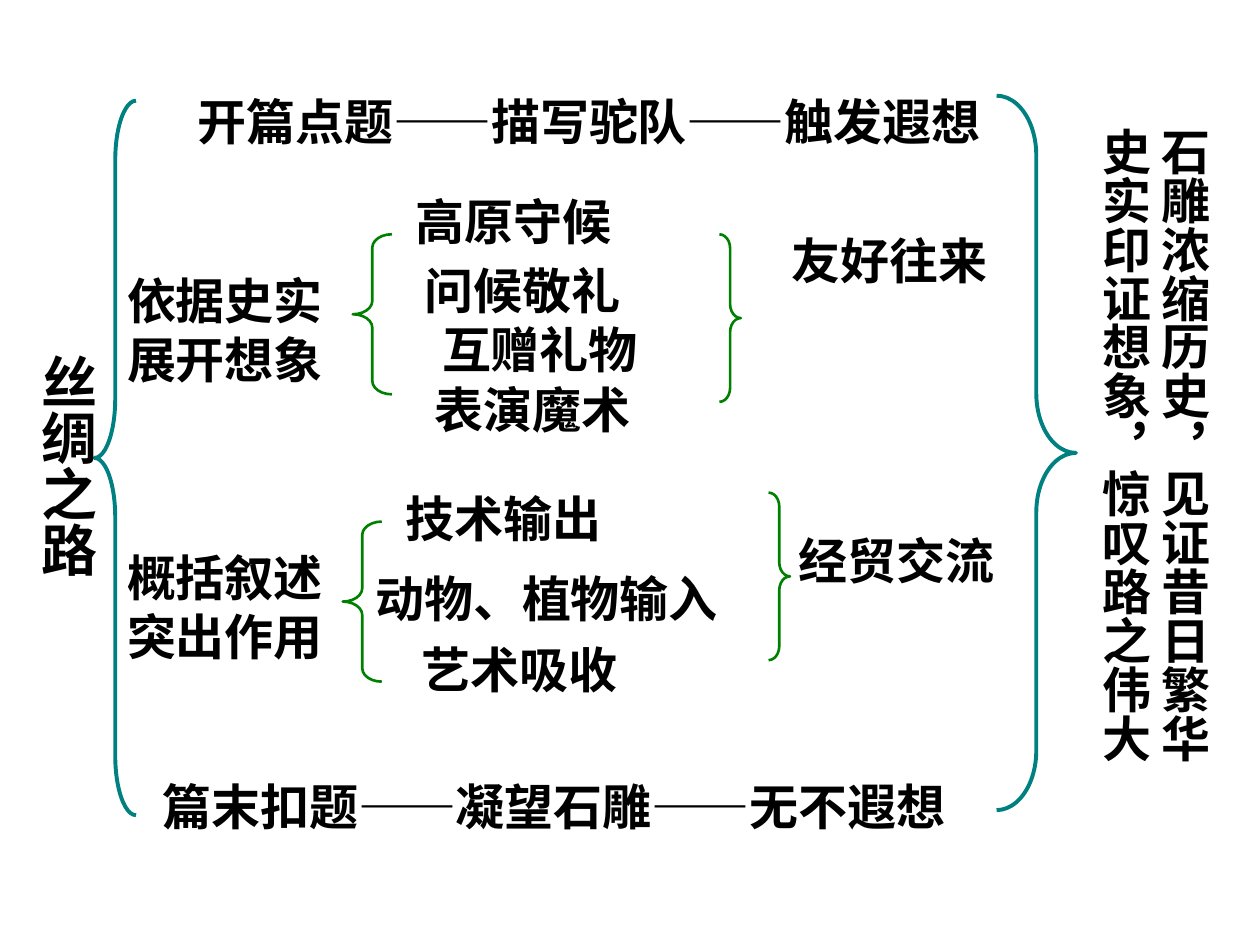
"""Builds the blackboard outline slide for the lesson on the Silk Road."""
from lxml import etree
from pptx import Presentation
from pptx.dml.color import RGBColor
from pptx.enum import shapes, text
from pptx.oxml import ns
from pptx.util import Inches, Pt

CJK = "Noto Sans CJK SC"
TIMES = "Times New Roman"
LEFT, CENTER = text.PP_ALIGN.LEFT, text.PP_ALIGN.CENTER


def color(value):
    return RGBColor.from_string(value)


def add_words(lines, left, top, width, height, font, align=LEFT, size=28, vertical=False, wrap=False):
    frame = slide.shapes.add_textbox(Inches(left), Inches(top), Inches(width), Inches(height)).text_frame
    frame.word_wrap = wrap
    frame.auto_size = text.MSO_AUTO_SIZE.SHAPE_TO_FIT_TEXT
    if vertical:
        frame.margin_left = frame.margin_right = Inches(0.05)
        frame.margin_top = frame.margin_bottom = Inches(0.1)
        frame._txBody.bodyPr.set("vert", "eaVert")
    for number, line in enumerate(lines):
        paragraph = frame.add_paragraph() if number else frame.paragraphs[0]
        paragraph.alignment = align
        run = paragraph.add_run()
        run.text = line
        run.font.name = font
        run.font.size = Pt(size)
        run.font.bold = True
        run.font.color.rgb = color("000000")
        etree.SubElement(run.font._element, ns.qn("a:ea")).set("typeface", CJK)


deck = Presentation()
deck.slide_width, deck.slide_height = Inches(10), Inches(7.5)
slide = deck.slides.add_slide(deck.slide_layouts[6])

opening = shapes.MSO_SHAPE.LEFT_BRACE
closing = shapes.MSO_SHAPE.RIGHT_BRACE
braces = [
    (opening, 0.75, 0.8, 0.33, 5.67, "008080", 2.25),
    (closing, 7.91, 0.76, 0.63, 5.67, "008080", 2.25),
    (opening, 2.8, 1.86, 0.31, 1.27, "008000", 1.5),
    (closing, 5.71, 1.86, 0.17, 1.33, "008000", 1.5),
    (opening, 2.72, 4.14, 0.31, 1.27, "008000", 1.5),
    (closing, 6.1, 3.91, 0.17, 1.33, "008000", 1.5),
]
for kind, left, top, width, height, line_color, weight in braces:
    brace = slide.shapes.add_shape(kind, Inches(left), Inches(top), Inches(width), Inches(height))
    brace.adjustments[0] = height / 12 / width
    brace.shadow.inherit = False
    brace.fill.background()
    brace.line.color.rgb = color(line_color)
    brace.line.width = Pt(weight)

add_words(["丝绸之路"], 0.12, 2.71, 0.73, 1.88, TIMES, size=32, vertical=True)
add_words(["石雕浓缩历史，见证昔日繁华", "史实印证想象，惊叹路之伟大"],
          8.55, 0.91, 1.13, 5.83, CJK, CENTER, vertical=True, wrap=True)

add_words(["开篇点题——描写驼队——触发遐想"], 1.47, 0.68, 6.41, 0.57, "Arial", CENTER)
add_words(["篇末扣题——凝望石雕——无不遐想"], 1.19, 6.11, 6.5, 0.57, TIMES)
add_words(["依据史实", "展开想象"], 0.91, 2.1, 1.75, 1.04, TIMES)
add_words(["概括叙述", "突出作用"], 0.91, 4.3, 1.75, 1.04, "Arial")

phrases = [
    ("高原守候", 3.2, 1.47, 1.75, CJK, CENTER),
    ("问候敬礼", 3.27, 2.02, 1.75, TIMES, LEFT),
    ("互赠礼物", 3.41, 2.49, 1.75, CJK, CENTER),
    ("表演魔术", 3.35, 2.96, 2.95, CJK, LEFT),
    ("友好往来", 6.18, 1.78, 1.76, CJK, CENTER),
    ("技术输出", 3.12, 3.83, 1.75, "Arial", LEFT),
    ("动物、植物输入", 2.88, 4.46, 2.92, "Arial", LEFT),
    ("艺术吸收", 3.25, 5.03, 1.75, "Arial", LEFT),
    ("经贸交流", 6.24, 4.16, 1.75, "Arial", LEFT),
]
for phrase, left, top, width, font, align in phrases:
    add_words([phrase], left, top, width, 0.57, font, align, wrap=width > 2.92)

deck.save("out.pptx")
